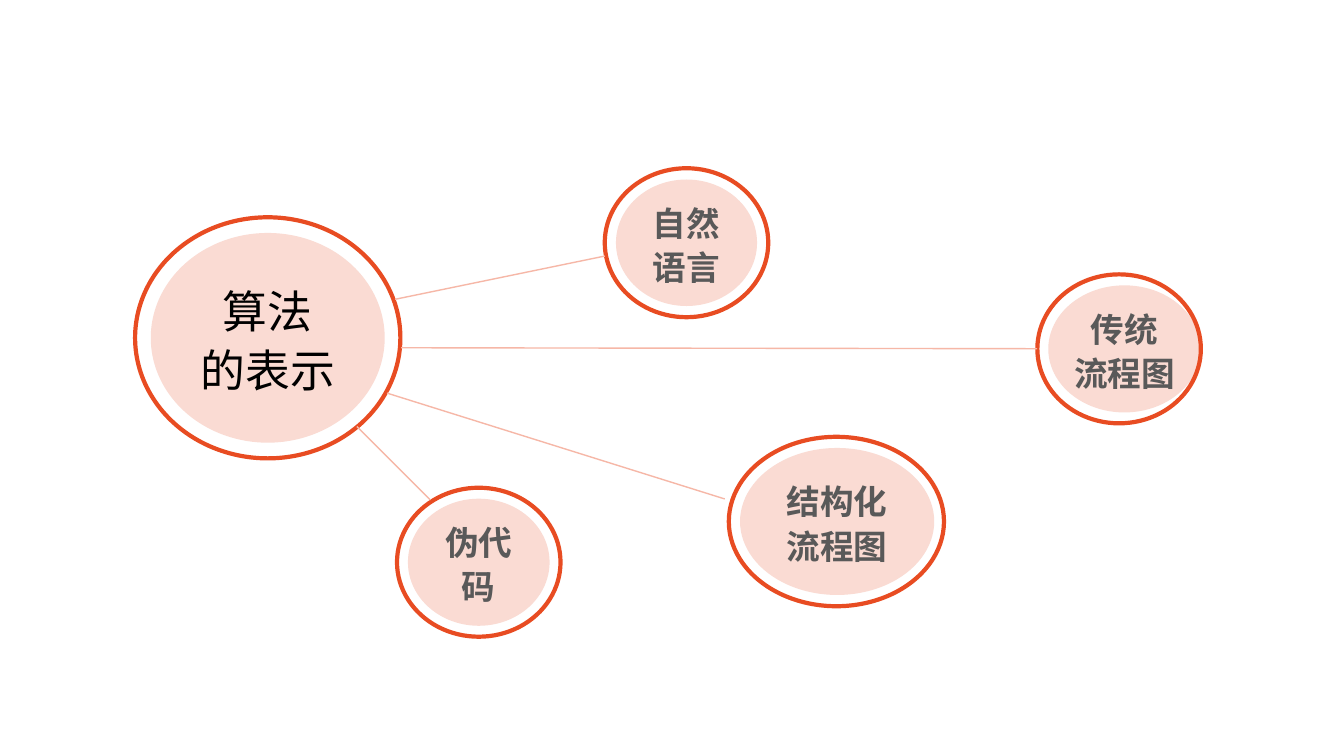
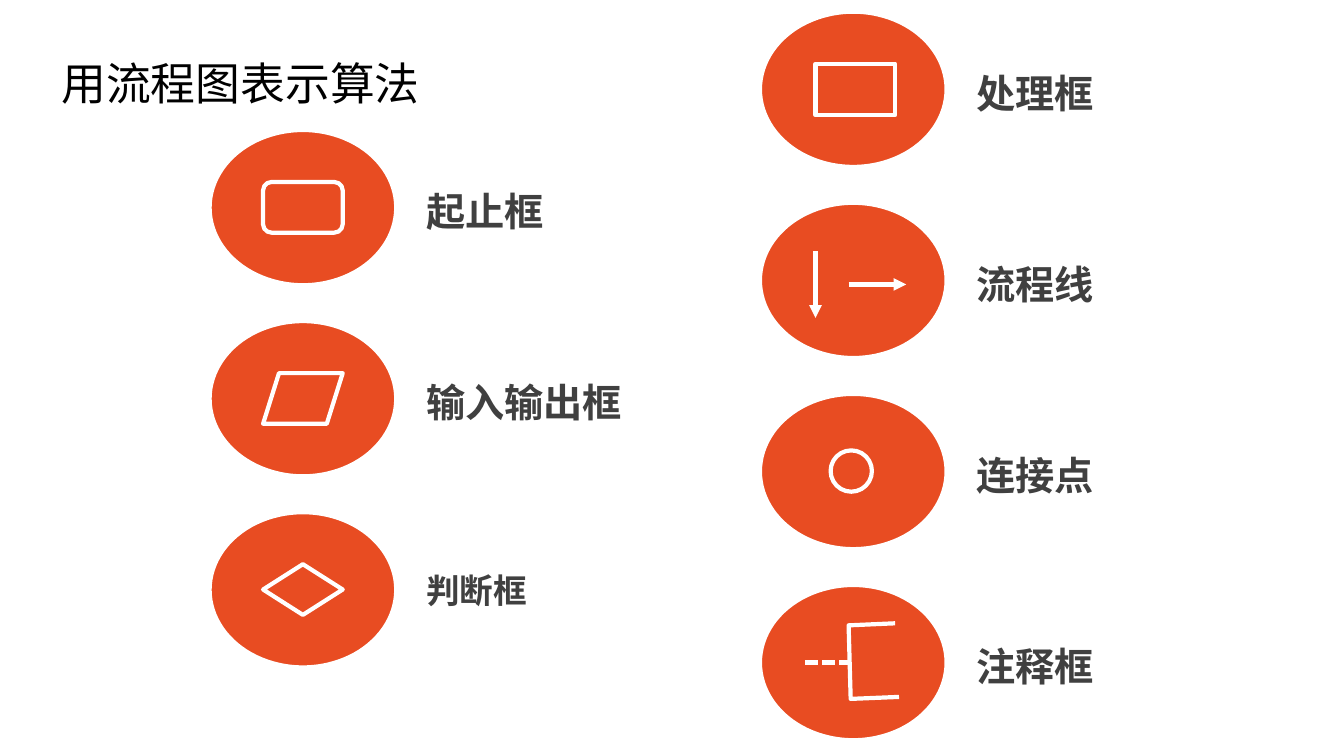
from lxml import etree
from pptx import Presentation
from pptx.dml.color import RGBColor
from pptx.enum.dml import MSO_LINE
from pptx.enum.shapes import MSO_CONNECTOR, MSO_SHAPE as Preset
from pptx.enum.text import MSO_ANCHOR, PP_ALIGN
from pptx.oxml.ns import qn
from pptx.util import Pt

# Shared style
FONT = "Noto Sans CJK SC"
ORANGE = RGBColor(0xE8, 0x4C, 0x22)
PALE = RGBColor(0xFA, 0xDB, 0xD3)
LINK = RGBColor(0xF6, 0xB7, 0xA7)
WHITE = RGBColor(0xFF, 0xFF, 0xFF)
BLACK = RGBColor(0, 0, 0)
GREY = RGBColor(0x59, 0x59, 0x59)
DARK = RGBColor(0x40, 0x40, 0x40)


def points(*values):
    return [Pt(value) for value in values]


def write(frame, lines, size, color, bold=False, spacing=1.0,
          align=PP_ALIGN.LEFT, anchor=MSO_ANCHOR.TOP):
    frame.word_wrap = True
    frame.vertical_anchor = anchor
    for index, line in enumerate(lines):
        paragraph = frame.add_paragraph() if index else frame.paragraphs[0]
        paragraph.alignment = align
        paragraph.line_spacing = spacing
        run = paragraph.add_run()
        run.text = line
        font = run.font
        font.name, font.size, font.bold = FONT, Pt(size), bold
        font.color.rgb = color
        east_asian = etree.SubElement(font._element, qn("a:ea"))
        east_asian.set("typeface", FONT)


def paint(shape, fill=None, line=None, width=3):
    shape.shadow.inherit = False
    if fill is None:
        shape.fill.background()
    else:
        shape.fill.solid()
        shape.fill.fore_color.rgb = fill
    if line is None:
        shape.line.fill.background()
    else:
        shape.line.color.rgb = line
        shape.line.width = Pt(width)
    return shape


def add_preset(slide, kind, box, **style):
    return paint(slide.shapes.add_shape(kind, *points(*box)), **style)


def add_text(slide, box, lines, size, color, **style):
    frame = slide.shapes.add_textbox(*points(*box)).text_frame
    write(frame, lines, size, color, **style)


def add_line(slide, start, end, color, width, arrow=False, dash=None):
    connector = slide.shapes.add_connector(
        MSO_CONNECTOR.STRAIGHT, *points(*start, *end))
    connector.line.color.rgb = color
    connector.line.width = Pt(width)
    if dash:
        connector.line.dash_style = dash
    if arrow:
        tail = etree.SubElement(connector.line._get_or_add_ln(), qn("a:tailEnd"))
        tail.set("type", "triangle")
    etree.SubElement(connector._element.spPr, qn("a:effectLst"))


# Slide 1: mind map
def add_node(slide, ring, inset, lines, size=24, color=GREY, bold=True, extra=0):
    """Pale disc inside a ring; extra widens the disc to the right."""
    left, top, width, height = ring
    disc = add_preset(slide, Preset.OVAL,
                      (left + inset, top + inset,
                       width - 2 * inset + extra, height - 2 * inset), fill=PALE)
    frame = disc.text_frame
    frame.margin_left = frame.margin_right = 0
    frame.margin_top = frame.margin_bottom = 0
    write(frame, lines, size, color, bold, 1.1, PP_ALIGN.CENTER, MSO_ANCHOR.MIDDLE)
    add_preset(slide, Preset.OVAL, ring, line=ORANGE)


def build_map(slide):
    add_node(slide, (96.5, 155.2, 189.5, 172.2), 11.2, ["算法", "的表示"],
             size=32, color=BLACK, bold=False)
    small = (116.8, 106.4)
    add_node(slide, (283.6, 348.4, *small), 7.8, ["伪代码"])
    add_node(slide, (520.6, 312, 153.7, 121), 8, ["结构化", "流程图"], extra=1)
    add_node(slide, (741, 196, *small), 7.8, ["传统", "流程图"], extra=7.6)
    add_node(slide, (432, 120.2, *small), 8, ["自然", "语言"])
    for start, end in (
        ((254.9, 304.6), (307.4, 357.1)),
        ((282.2, 213.8), (432, 182.9)),
        ((276.5, 280.8), (517.7, 356.4)),
        ((286.6, 248.4), (740.9, 249.1)),
    ):
        add_line(slide, start, end, LINK, 1)


# Slide 2: flowchart symbols, each drawn from the corner of its disc
def outline(kind, dx, dy, width, height):
    def draw(slide, left, top):
        add_preset(slide, kind, (left + dx, top + dy, width, height), line=WHITE)
    return draw


def draw_arrows(slide, left, top):
    for x1, y1, x2, y2 in ((38.9, 34, 38.9, 81.4), (62.6, 57.6, 103.7, 57.6)):
        add_line(slide, (left + x1, top + y1), (left + x2, top + y2),
                 WHITE, 3, arrow=True)


def draw_note(slide, left, top):
    add_line(slide, (left + 31.7, top + 54.7), (left + 62.6, top + 54.7),
             WHITE, 3, dash=MSO_LINE.SQUARE_DOT)
    bracket = [points(left + x, top + y) for x, y in
               ((95.8, 26.6), (62.6, 28.1), (64.1, 80.6), (98.6, 79.2))]
    builder = slide.shapes.build_freeform(*bracket[0])
    builder.add_line_segments(bracket[1:], close=False)
    paint(builder.convert_to_shape(), line=WHITE)


ROW_PITCH = 136.5
FRAME = (37.4, 36.4, 56.9, 36.2)
LEFT_ITEMS = [
    ("起止框", 28, outline(Preset.FLOWCHART_ALTERNATE_PROCESS, *FRAME)),
    ("输入输出框", 28, outline(Preset.FLOWCHART_DATA, *FRAME)),
    ("判断框", 24, outline(Preset.FLOWCHART_DECISION, *FRAME)),
]
RIGHT_ITEMS = [
    ("处理框", 28, outline(Preset.FLOWCHART_PROCESS, 38.9, 36.4, 56.9, 36.7)),
    ("流程线", 28, draw_arrows),
    ("连接点", 28, outline(Preset.FLOWCHART_CONNECTOR, 49.7, 39.6, 29.5, 29.5)),
    ("注释框", 28, draw_note),
]


def add_symbol_column(slide, left, top, items):
    for row, (name, size, draw) in enumerate(items):
        y = top + row * ROW_PITCH
        add_preset(slide, Preset.OVAL, (left, y, 131.8, 109.4),
                   fill=ORANGE, line=WHITE, width=1.5)
        draw(slide, left, y)
        add_text(slide, (left + 146.9, y + 36.6, 165, 41), [name],
                 size, DARK, bold=True)


def build_symbols(slide):
    add_text(slide, (36.7, 9.4, 828, 104.4), ["用流程图表示算法"], 32, BLACK,
             spacing=0.9, anchor=MSO_ANCHOR.MIDDLE)
    add_symbol_column(slide, 150.5, 93.6, LEFT_ITEMS)
    add_symbol_column(slide, 543.6, 9.1, RIGHT_ITEMS)


def main():
    presentation = Presentation()
    presentation.slide_width, presentation.slide_height = points(960, 540)
    for build in (build_map, build_symbols):
        build(presentation.slides.add_slide(presentation.slide_layouts[6]))
    presentation.save("out.pptx")


if __name__ == "__main__":
    main()
